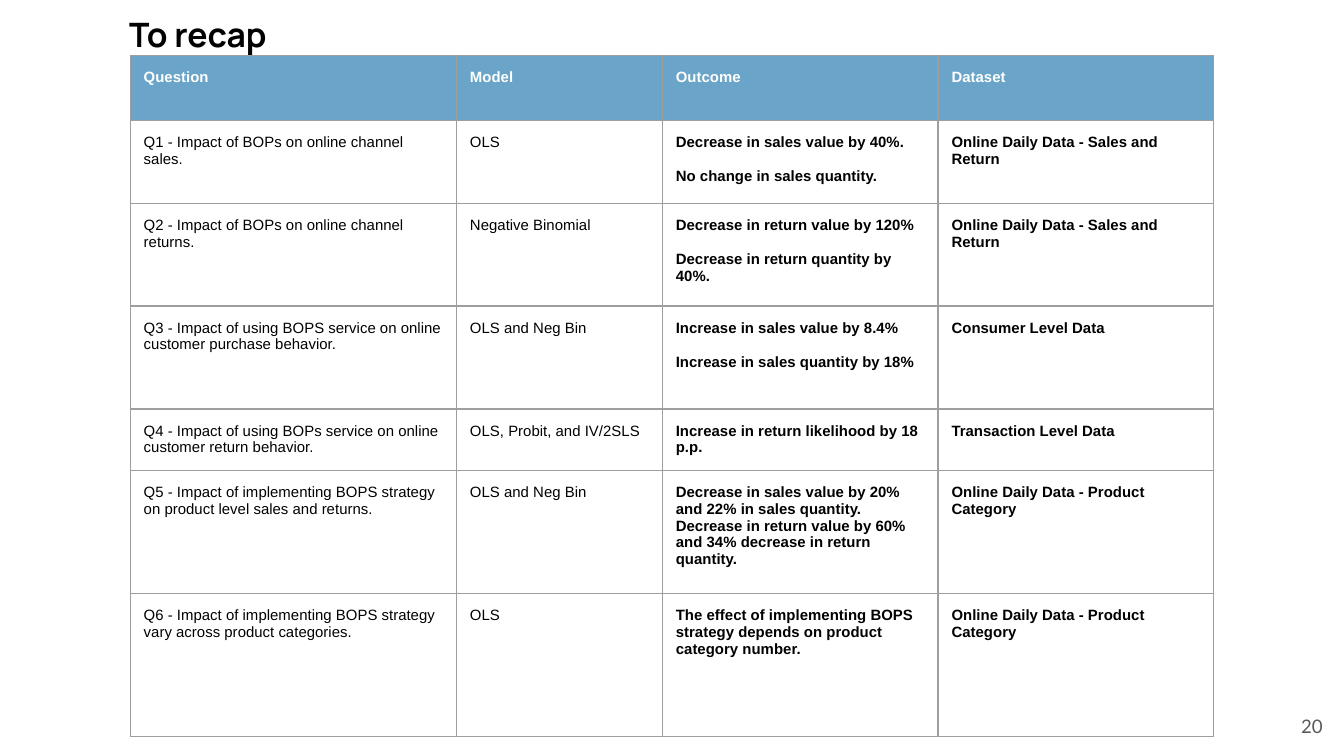
from lxml import etree
from pptx import Presentation
from pptx import util as u
from pptx.dml.color import RGBColor
from pptx.enum import text
from pptx.oxml import ns

Pt = u.Pt
COLORS = {"header": "6AA4C8", "header_text": "FFFFFF", "body": "000000",
          "border": "9E9E9E", "page": "595959"}
INSET = Pt(7.2)
PARAGRAPH_GAP = Pt(9.2)


def add_text(paragraph, words, font, size, color, bold=False):
    run = paragraph.add_run()
    run.text = words
    run.font.name = font
    run.font.size = Pt(size)
    run.font.bold = bold
    run.font.color.rgb = RGBColor.from_string(COLORS[color])


def set_borders(cell):
    properties = cell._tc.get_or_add_tcPr()
    for position, side in enumerate(("lnL", "lnR", "lnT", "lnB")):
        line = etree.Element(ns.qn(f"a:{side}"), w=str(Pt(0.75)))
        fill = etree.SubElement(line, ns.qn("a:solidFill"))
        etree.SubElement(fill, ns.qn("a:srgbClr"), val=COLORS["border"])
        properties.insert(position, line)


deck = Presentation()
deck.slide_width, deck.slide_height = Pt(720), Pt(405)
slide = deck.slides.add_slide(deck.slide_layouts[5])

heading = slide.shapes.title
heading.left, heading.top, heading.width, heading.height = Pt(62), Pt(0), Pt(605.5), Pt(42.5)
page = slide.shapes.add_textbox(Pt(672.5), Pt(373.7), Pt(43.2), Pt(31))

for box, anchor, align, words, style in (
    (heading, text.MSO_ANCHOR.TOP, text.PP_ALIGN.LEFT, "To recap", ("Manrope", 18, "body", True)),
    (page, text.MSO_ANCHOR.MIDDLE, text.PP_ALIGN.RIGHT, "20", ("Lato", 10, "page")),
):
    frame = box.text_frame
    frame.word_wrap = True
    frame.auto_size = text.MSO_AUTO_SIZE.NONE
    frame.vertical_anchor = anchor
    frame.margin_left = frame.margin_right = frame.margin_top = frame.margin_bottom = INSET
    frame.paragraphs[0].alignment = align
    add_text(frame.paragraphs[0], words, *style)

recap = [
    ("Question", "Model", ["Outcome"], "Dataset"),
    ("Q1 - Impact of BOPs on online channel sales.", "OLS",
     ["Decrease in sales value by 40%.", "No change in sales quantity."],
     "Online Daily Data - Sales and Return"),
    ("Q2 - Impact of BOPs on online channel returns.", "Negative Binomial",
     ["Decrease in return value by 120%", "Decrease in return quantity by 40%."],
     "Online Daily Data - Sales and Return"),
    ("Q3 - Impact of using BOPS service on online customer purchase behavior.", "OLS and Neg Bin",
     ["Increase in sales value by 8.4%", "Increase in sales quantity by 18%"],
     "Consumer Level Data"),
    ("Q4 - Impact of using BOPs service on online customer return behavior.",
     "OLS, Probit, and IV/2SLS",
     ["Increase in return likelihood by 18 p.p."], "Transaction Level Data"),
    ("Q5 - Impact of implementing BOPS strategy on product level sales and returns.",
     "OLS and Neg Bin",
     ["Decrease in sales value by 20% and 22% in sales quantity.",
      "Decrease in return value by 60% and 34% decrease in return quantity."],
     "Online Daily Data - Product Category"),
    ("Q6 - Impact of implementing BOPS strategy vary across product categories.", "OLS",
     ["The effect of implementing BOPS strategy depends on product category number."],
     "Online Daily Data - Product Category"),
]
column_widths = [174.8, 110.3, 147.7, 147.7]
row_heights = [35, 44.4, 55, 55.2, 32.8, 66, 76.7]
TIGHT_ROW = 5

summary = slide.shapes.add_table(
    len(recap), len(column_widths), Pt(69.8), Pt(29.6),
    Pt(sum(column_widths)), Pt(sum(row_heights))).table
summary.horz_banding = False
for column, width in zip(summary.columns, column_widths):
    column.width = Pt(width)

for r, (entry, height) in enumerate(zip(recap, row_heights)):
    summary.rows[r].height = Pt(height)
    for c, content in enumerate(entry):
        cell = summary.cell(r, c)
        cell.margin_left = cell.margin_right = cell.margin_top = cell.margin_bottom = INSET
        if r == 0:
            cell.fill.solid()
            cell.fill.fore_color.rgb = RGBColor.from_string(COLORS["header"])
        else:
            cell.fill.background()
        set_borders(cell)
        statements = content if isinstance(content, list) else [content]
        for n, statement in enumerate(statements):
            paragraph = cell.text_frame.add_paragraph() if n else cell.text_frame.paragraphs[0]
            if n and r != TIGHT_ROW:
                paragraph.space_before = PARAGRAPH_GAP
            add_text(paragraph, statement, "Arial", 8,
                     "body" if r else "header_text", r == 0 or c >= 2)

deck.save("out.pptx")
